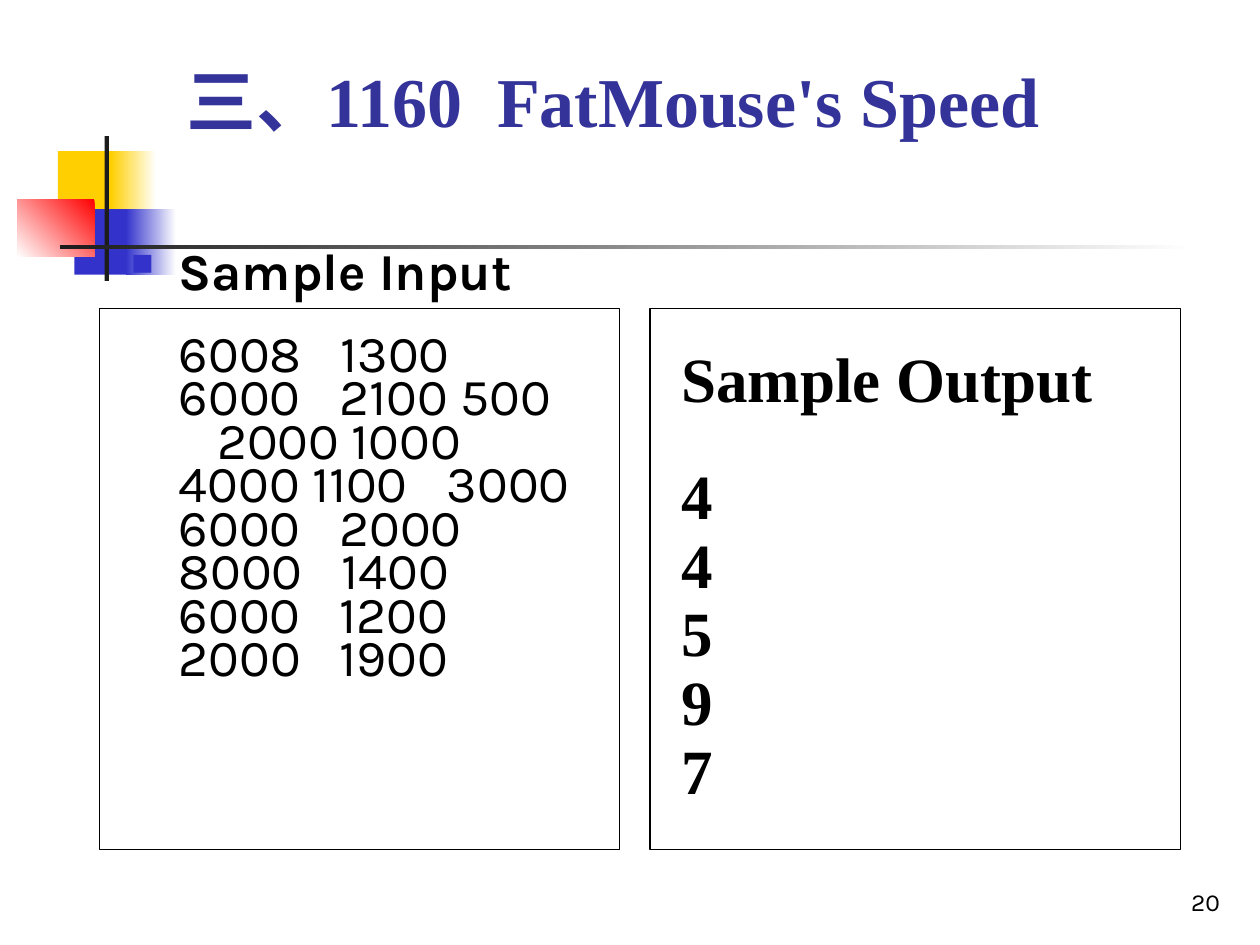
from lxml.etree import SubElement
from pptx import Presentation
from pptx.dml.color import RGBColor as Rgb
from pptx.enum.shapes import MSO_SHAPE as Kind
from pptx.enum.text import MSO_ANCHOR as Anchor, PP_ALIGN as Align
from pptx.oxml.ns import qn
from pptx.util import Inches, Pt

WHITE = Rgb(0xFF, 0xFF, 0xFF)
BLACK = Rgb(0x00, 0x00, 0x00)
INK = Rgb(0x1C, 0x1C, 0x1C)
GOLD = Rgb(0xFF, 0xCF, 0x01)
BLUE = Rgb(0x33, 0x33, 0xCC)
NAVY = Rgb(0x33, 0x33, 0x99)
RED = Rgb(0xFF, 0x00, 0x00)
SERIF, SANS = "Times New Roman", "Karla"
COLS, ROWS = 100, 75


class Page:
    """Draws on one slide; places are (column, row, columns, rows)."""

    def __init__(self, deck):
        self.slide = deck.slides.add_slide(deck.slide_layouts[6])
        self.col = deck.slide_width / COLS
        self.row = deck.slide_height / ROWS

    def spot(self, place):
        x, y, w, h = place
        return (round(x * self.col), round(y * self.row),
                round(w * self.col), round(h * self.row))

    def block(self, place):
        shape = self.slide.shapes.add_shape(Kind.RECTANGLE, *self.spot(place))
        shape.shadow.inherit = False
        shape.line.fill.background()
        return shape

    def solid(self, place, color):
        fill = self.block(place).fill
        fill.solid()
        fill.fore_color.rgb = color

    def fade(self, place, start, end, angle=180):
        fill = self.block(place).fill
        fill.gradient()
        fill.gradient_angle = angle
        for stop, color in zip(fill.gradient_stops, (start, end)):
            stop.color.rgb = color

    def frame(self, place):
        shape = self.block(place)
        shape.fill.background()
        shape.line.color.rgb = BLACK
        shape.line.width = Pt(0.75)

    def text(self, place, anchor=Anchor.TOP):
        frame = self.slide.shapes.add_textbox(*self.spot(place)).text_frame
        frame.word_wrap = True
        frame.vertical_anchor = anchor
        return frame

    def para(self, frame, words, size, face, color=BLACK, bold=False, gap=0,
             lead=1.0, align=Align.LEFT, left=0, bullet=False, wide=0):
        """Add a paragraph; each | is a space widened by wide points."""
        para = frame.paragraphs[0]
        if para.runs:
            para = frame.add_paragraph()
        for count, part in enumerate(words.split("|")):
            if count:
                space = para.add_run()
                space.text = " "
                space.font._element.set("spc", str(round(wide * 100)))
            if part:
                para.add_run().text = part
        props = para._p.get_or_add_pPr()
        props.set("marL", str(round(left * self.col)))
        props.set("indent", str(round(-left * self.col) if bullet else 0))
        if bullet:
            tint = SubElement(props, qn("a:buClr"))
            SubElement(tint, qn("a:srgbClr"), val=str(BLUE))
            SubElement(props, qn("a:buSzPct"), val="60000")
            SubElement(props, qn("a:buFont"), typeface="Wingdings",
                       charset="2")
            SubElement(props, qn("a:buChar"), char="n")
        para.alignment = align
        para.line_spacing = lead
        para.space_before = Pt(gap)
        font = para.font
        font.size, font.name, font.bold = Pt(size), face, bold
        font.color.rgb = color


def motif(page):
    page.solid((4.6, 12, 4.8, 5.2), GOLD)
    page.fade((8.8, 12, 3.6, 5.2), WHITE, GOLD)
    page.solid((5.9, 16.6, 4.6, 5.2), BLUE)
    page.fade((10, 16.6, 4, 5.2), WHITE, BLUE)
    page.fade((1.4, 15.8, 6.1, 4.6), RED, WHITE, 225)
    page.solid((8.3, 10.8, 0.35, 11.5), INK)
    page.fade((4.8, 19.45, 90, 0.35), WHITE, INK)


def main():
    deck = Presentation()
    deck.slide_width, deck.slide_height = Inches(10), Inches(7.5)
    page = Page(deck)
    motif(page)
    page.frame((7.9, 24.5, 41.3, 42.9))
    page.frame((51.6, 24.5, 42.1, 42.9))

    title = page.text((13.8, 3.7, 73.2, 8), Anchor.BOTTOM)
    page.para(title, "三、1160|FatMouse's Speed", 40, SERIF, NAVY, True,
              wide=10)

    rows = ["6008|1300", "6000|2100 500", "|2000 1000", "4000 1100|3000",
            "6000|2000", "8000|1400", "6000|1200", "2000|1900"]
    given = page.text((9.4, 19.8, 37.6, 41.3))
    page.para(given, "Sample Input", 29.6, SANS, bold=True, lead=0.7,
              left=3.8, bullet=True)
    for count, row in enumerate(rows):
        page.para(given, row, 29.6, SANS, gap=0 if count else 22, lead=0.7,
                  left=3.8, wide=15)

    result = page.text((53.1, 28.1, 39, 36.4))
    page.para(result, "Sample Output", 36, SERIF, bold=True, lead=0.7)
    for word, gap in zip("44597", [36.5] + [9] * 4):
        page.para(result, word, 36, SERIF, bold=True, gap=gap, lead=0.7)

    number = page.text((77, 68.2, 20.8, 5), Anchor.BOTTOM)
    page.para(number, "20", 14, SANS, align=Align.RIGHT)
    deck.save("out.pptx")


if __name__ == "__main__":
    main()
